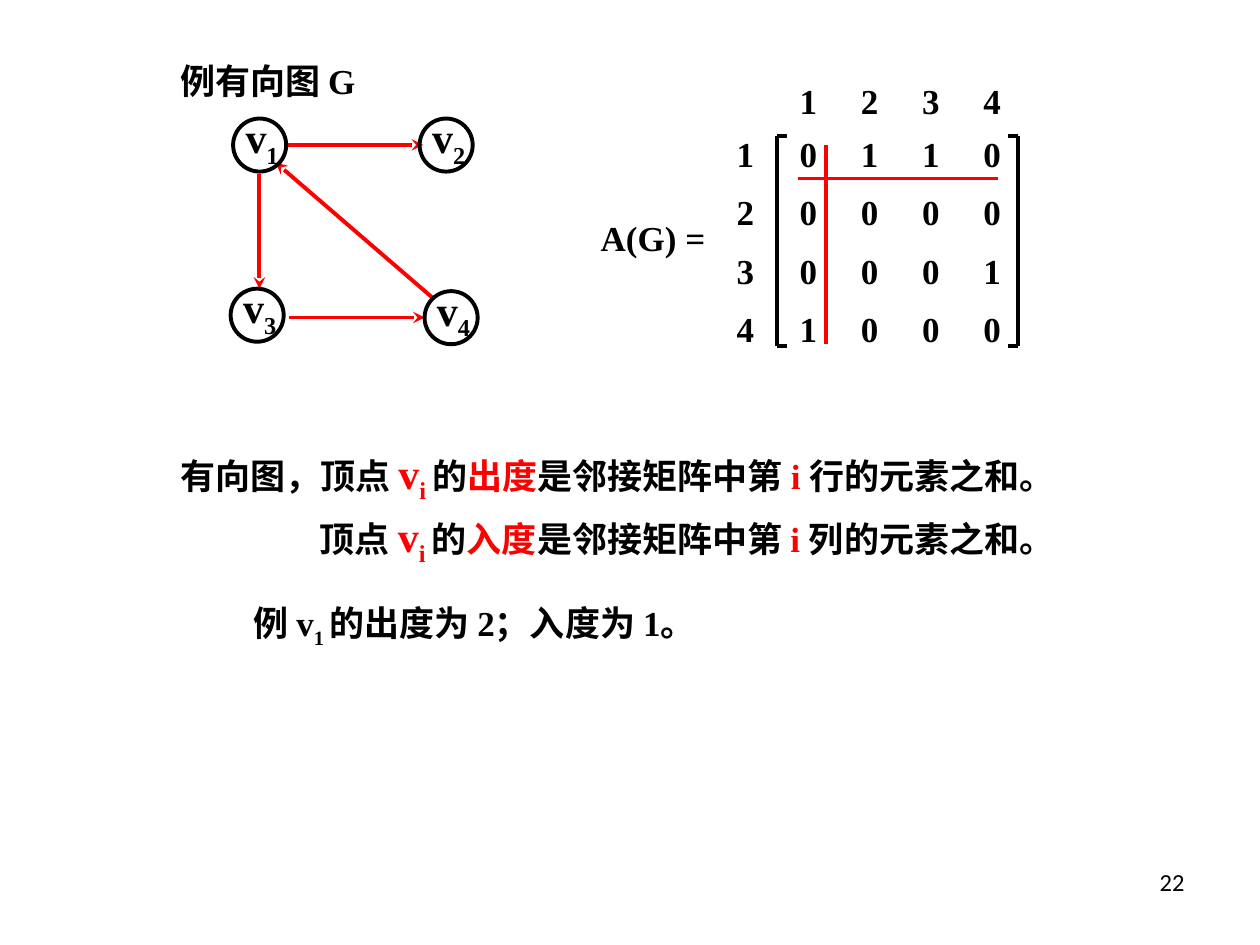
from lxml import etree
from pptx import Presentation
from pptx.dml.color import RGBColor
from pptx.enum.shapes import MSO_CONNECTOR, MSO_SHAPE
from pptx.enum.text import PP_ALIGN
from pptx.oxml.ns import qn
from pptx.util import Cm, Pt

STRAIGHT = MSO_CONNECTOR.STRAIGHT
OVAL = MSO_SHAPE.OVAL
LEFT, RIGHT = PP_ALIGN.LEFT, PP_ALIGN.RIGHT

BLACK, RED = "000000", "FF0000"
LINE_WIDTH = Pt(2.25)
NODE_SIZE = 1.07
ROW_HEIGHT = 1.12
COLUMN_PITCH = 1.235
ROW_PITCH = 1.18
BRACKET_TICK = 0.2

NODES = {"1": (1.32, 1.32), "2": (5.08, 1.32), "3": (1.27, 4.75), "4": (5.18, 4.8)}
EDGES = [
    (2.41, 1.85, 5.15, 1.85),
    (1.85, 2.44, 1.85, 4.75),
    (2.44, 5.33, 5.18, 5.33),
    (5.36, 4.95, 2.18, 2.21),
]
MATRIX = ["0110", "0000", "0001", "1000"]


def color(hex_string):
    return RGBColor.from_string(hex_string)


def add_text(slide, left, top, width, height, runs, size=20, bold=True,
             font="Times New Roman", align=LEFT, tab_pitch=None, tab_count=0):
    """Add one paragraph; each run is (text, format overrides)."""
    shape = slide.shapes.add_textbox(Cm(left), Cm(top), Cm(width), Cm(height))
    shape.text_frame.word_wrap = True
    paragraph = shape.text_frame.paragraphs[0]
    paragraph.alignment = align
    if tab_count:
        tabs = etree.SubElement(paragraph._p.get_or_add_pPr(), qn("a:tabLst"))
        for index in range(1, tab_count + 1):
            etree.SubElement(tabs, qn("a:tab"), pos=str(Cm(tab_pitch * index)), algn="l")
    for text, style in runs:
        run = paragraph.add_run()
        run.text = text
        run.font.name = font
        run.font.bold = bold
        run.font.size = Pt(style.get("size", size))
        run.font.color.rgb = color(style.get("fill", BLACK))
        if style.get("subscript"):
            run._r.get_or_add_rPr().set("baseline", "-25000")


def add_line(slide, x1, y1, x2, y2, line_color=BLACK, arrow=False):
    line = slide.shapes.add_connector(STRAIGHT, Cm(x1), Cm(y1), Cm(x2), Cm(y2))
    line.line.color.rgb = color(line_color)
    line.line.width = LINE_WIDTH
    if arrow:
        etree.SubElement(line.line._get_or_add_ln(), qn("a:tailEnd"), type="stealth")
    etree.SubElement(line._element.spPr, qn("a:effectLst"))


def add_node(slide, left, top, number):
    circle = slide.shapes.add_shape(OVAL, Cm(left), Cm(top), Cm(NODE_SIZE), Cm(NODE_SIZE))
    circle.shadow.inherit = False
    circle.fill.background()
    circle.line.color.rgb = color(BLACK)
    circle.line.width = LINE_WIDTH
    add_text(slide, left, top - 0.26, 1.9, 1.42,
             [("v", {}), (number, {"subscript": True})], size=24)


def add_graph(slide, left, top):
    add_text(slide, left, top, 6.78, ROW_HEIGHT, [("例有向图 G", {})])
    for x1, y1, x2, y2 in EDGES:
        add_line(slide, left + x1, top + y1, left + x2, top + y2, RED, arrow=True)
    for number, (x, y) in NODES.items():
        add_node(slide, left + x, top + y, number)


def add_matrix_row(slide, left, top, values):
    add_text(slide, left, top, 6.98, ROW_HEIGHT, [("\t".join(values), {})],
             tab_pitch=COLUMN_PITCH, tab_count=len(values) - 1)


def add_matrix(slide, left, top):
    """Adjacency matrix with row and column numbers, first row and column marked."""
    add_text(slide, left, top + 2.77, 4.45, ROW_HEIGHT, [("A(G) =", {})])
    cells_left = left + 4.01
    add_matrix_row(slide, cells_left, top, "1234")
    for index, values in enumerate(MATRIX):
        row_top = top + 1.07 + index * ROW_PITCH
        add_text(slide, left + 2.74, row_top, 0.84, ROW_HEIGHT, [(str(index + 1), {})])
        add_matrix_row(slide, cells_left, row_top, values)

    bracket_top, bracket_bottom = top + 1.27, top + 5.51
    for x, tick in ((left + 3.81, BRACKET_TICK), (left + 8.66, -BRACKET_TICK)):
        add_line(slide, x, bracket_top, x, bracket_bottom)
        for y in (bracket_top, bracket_bottom):
            add_line(slide, x, y, x + tick, y)

    add_line(slide, left + 4.22, top + 2.13, left + 8.26, top + 2.13, RED)
    add_line(slide, left + 4.8, top + 1.45, left + 4.8, top + 5.46, RED)


def add_degree_rule(slide, left, top, width, opening, degree, direction):
    red = {"fill": RED}
    add_text(slide, left, top, width, 1.42, [
        (opening, {}),
        ("v", {"size": 24, **red}),
        ("i ", {"size": 24, "subscript": True, **red}),
        ("的", {}),
        (degree, red),
        ("是邻接矩阵中第 ", {}),
        ("i ", red),
        (direction + "的元素之和。", {}),
    ])


def add_conclusions(slide, left, top):
    add_degree_rule(slide, left, top, 20.11, "有向图，顶点 ", "出度", "行")
    add_degree_rule(slide, left + 2.82, top + 1.27, 16.93, "顶点 ", "入度", "列")
    add_text(slide, left + 1.48, top + 3.12, 13.12, 1.22, [
        ("例 v", {}),
        ("1 ", {"subscript": True}),
        ("的出度为 2；入度为 1。", {}),
    ])


def main():
    presentation = Presentation()
    presentation.slide_width, presentation.slide_height = Cm(25.4), Cm(19.05)
    slide = presentation.slides.add_slide(presentation.slide_layouts[6])
    add_graph(slide, 3.38, 1.07)
    add_matrix(slide, 11.86, 1.47)
    add_conclusions(slide, 3.38, 8.89)
    add_text(slide, 18.21, 17.35, 5.92, 1.32, [("22", {})],
             size=14, bold=False, font="Calibri", align=RIGHT)
    presentation.save("out.pptx")


if __name__ == "__main__":
    main()
